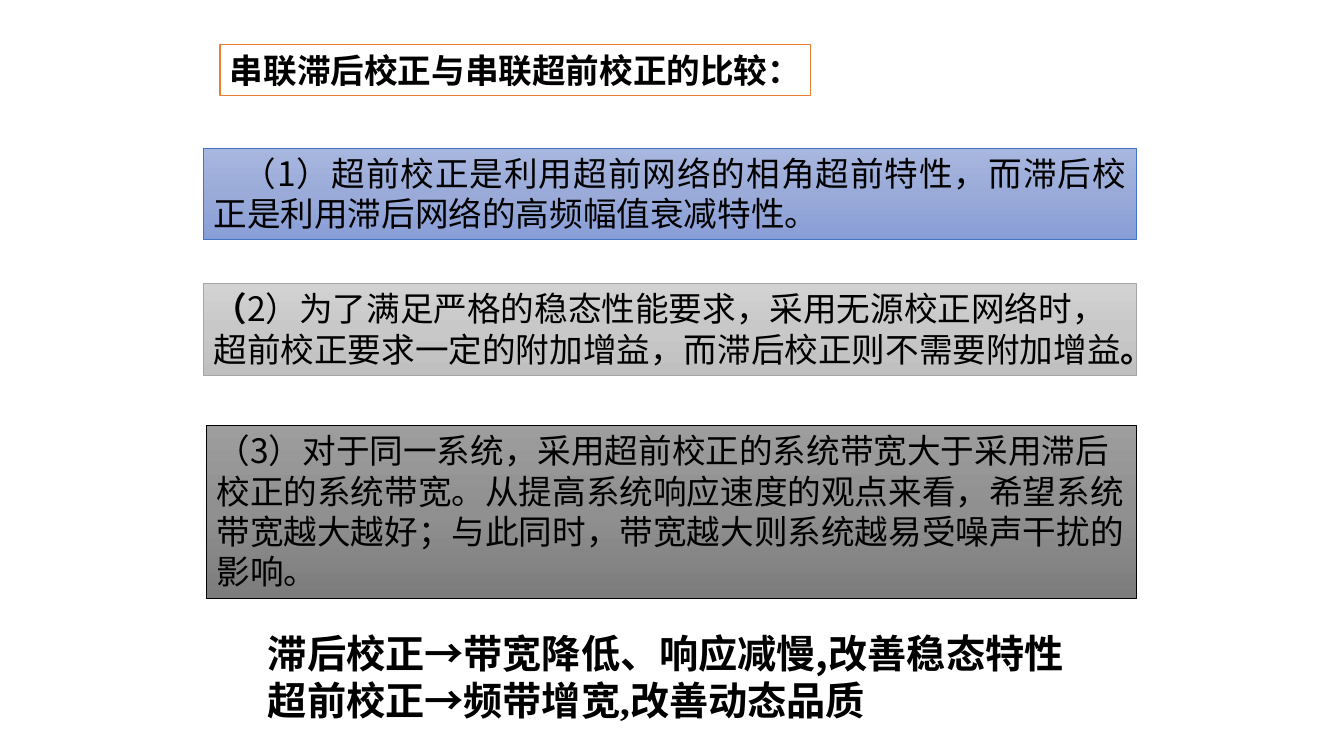
from copy import deepcopy

from lxml import etree
from pptx import Presentation
from pptx.dml.color import RGBColor
from pptx.enum.shapes import MSO_SHAPE
from pptx.enum.text import MSO_ANCHOR, MSO_AUTO_SIZE, PP_ALIGN
from pptx.oxml.ns import qn
from pptx.util import Pt

RECTANGLE = MSO_SHAPE.RECTANGLE
TOP = MSO_ANCHOR.TOP
NO_AUTOFIT = MSO_AUTO_SIZE.NONE
LEFT, JUSTIFY = PP_ALIGN.LEFT, PP_ALIGN.JUSTIFY

SANS = "Noto Sans CJK SC"
SERIF = "Times New Roman"
COLORS = {
    "text": "000000",
    "title_line": "ED7D31",
    "blue_line": "4472C4",
    "blue": ("A8B7DF", "9AABD9", "889ED7"),
    "silver_line": "A5A5A5",
    "silver": ("D2D2D2", "C8C8C8", "C0C0C0"),
    "gray_line": "000000",
    "gray": ("9D9D9D", "909090", "7C7C7C"),
}


class SlideBuilder:
    def __init__(self, slide):
        self.slide = slide

    def outline(self, sp, color, width):
        sp.line.color.rgb = RGBColor.from_string(COLORS[color])
        sp.line.width = Pt(width)

    def gradient(self, sp, color):
        sp.fill.gradient()
        sp.fill.gradient_angle = 270
        stops = sp._element.spPr.find(qn("a:gradFill")).find(qn("a:gsLst"))
        stops.append(deepcopy(stops[0]))
        for stop, position, value in zip(sp.fill.gradient_stops, (0, 0.5, 1), COLORS[color]):
            stop.position = position
            stop.color.rgb = RGBColor.from_string(value)

    def add_runs(self, sp, paragraphs, size, spacing, wrap=True, align=LEFT, indent=0):
        tf = sp.text_frame
        tf.auto_size = NO_AUTOFIT
        tf.word_wrap = wrap
        tf.vertical_anchor = TOP
        for i, runs in enumerate(paragraphs):
            p = tf.add_paragraph() if i else tf.paragraphs[0]
            p.alignment = align
            p.line_spacing = Pt(spacing)
            p.space_before = Pt(0)
            if indent:
                p._p.get_or_add_pPr().set("indent", str(Pt(indent)))
            for text, font, bold in runs:
                r = p.add_run()
                r.text = text
                r.font.size = Pt(size)
                r.font.bold = bold
                r.font.color.rgb = RGBColor.from_string(COLORS["text"])
                r.font.name = font
                etree.SubElement(r._r.get_or_add_rPr(), qn("a:ea"), typeface=SANS)

    def title(self, x, y, w, h, text):
        sp = self.slide.shapes.title
        sp.left, sp.top, sp.width, sp.height = Pt(x), Pt(y), Pt(w), Pt(h)
        self.outline(sp, "title_line", 1)
        self.add_runs(sp, [[(text, SANS, True)]], 24, 28.8, wrap=False)

    def panel(self, x, y, w, h, color, runs, align=LEFT, indent=0):
        sp = self.slide.shapes.add_shape(RECTANGLE, Pt(x), Pt(y), Pt(w), Pt(h))
        sp.shadow.inherit = False
        self.gradient(sp, color)
        self.outline(sp, color + "_line", 0.5)
        self.add_runs(sp, [runs], 24, 28.8, align=align, indent=indent)

    def text(self, x, y, w, h, paragraphs):
        sp = self.slide.shapes.add_textbox(Pt(x), Pt(y), Pt(w), Pt(h))
        self.add_runs(sp, paragraphs, 28, 33.6, wrap=False)


def main():
    prs = Presentation()
    prs.slide_width, prs.slide_height = Pt(960), Pt(540)
    s = SlideBuilder(prs.slides.add_slide(prs.slide_layouts[5]))

    s.title(157, 31.7, 422, 36.7, "串联滞后校正与串联超前校正的比较：")
    s.panel(145.4, 105.8, 666, 65.5, "blue", [
        ("（1）超前校正是利用超前网络的相角超前特性，而滞后校正是利用滞后网络的高频幅值衰减特性。", SANS, False),
    ], align=JUSTIFY, indent=20.9)
    s.panel(145.4, 202.3, 666, 65.5, "silver", [
        ("（", SANS, True),
        ("2）为了满足严格的稳态性能要求，采用无源校正网络时，超前校正要求一定的附加增益，而滞后校正则不需要附加增益", SANS, False),
        ("。", SANS, True),
    ])
    s.panel(147.6, 303.8, 663.8, 123.8, "gray", [
        ("（3）对于同一系统，采用超前校正的系统带宽大于采用滞后校正的系统带宽。从提高系统响应速度的观点来看，"
         "希望系统带宽越大越好；与此同时，带宽越大则系统越易受噪声干扰的影响。", SANS, False),
    ])
    s.text(184.3, 445.7, 596.2, 74.9, [
        [("滞后校正→带宽降低、响应减慢,", SANS, True), ("改善", SERIF, True), ("稳态特性", SANS, True)],
        [("超前校正→频带增宽,改善动态品质", SERIF, True)],
    ])
    prs.save("out.pptx")


if __name__ == "__main__":
    main()
